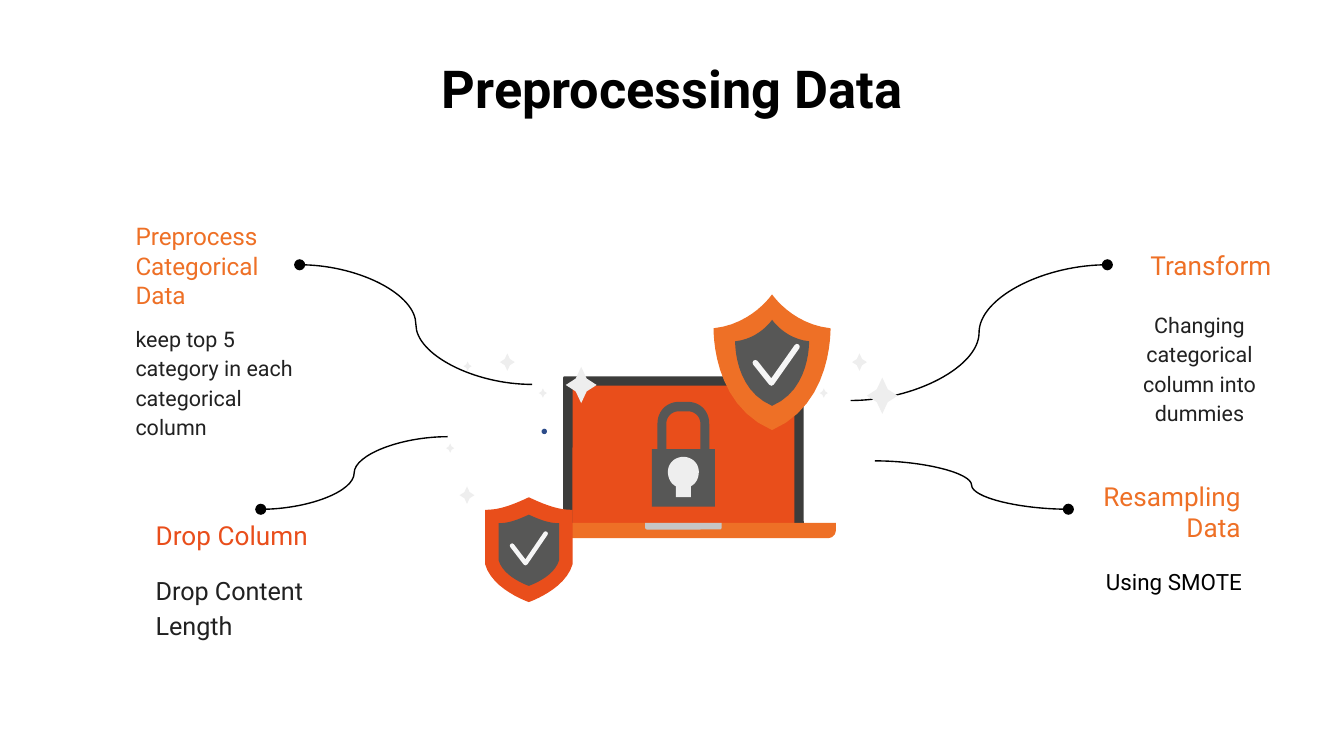
from pptx import Presentation
from pptx import util as u
from pptx.dml.color import RGBColor
from pptx.enum import shapes as sh, text as tx
from pptx.oxml.ns import qn
from lxml import etree

BLACK = RGBColor(0, 0, 0)
INK = RGBColor(0x21, 0x21, 0x21)
ORANGE = RGBColor(0xEE, 0x70, 0x26)
RED = RGBColor(0xE9, 0x4E, 0x1B)
DARK = RGBColor(0x3C, 0x3C, 0x3B)
GREY = RGBColor(0x57, 0x57, 0x56)
SILVER = RGBColor(0xC6, 0xC6, 0xC6)
PALE = RGBColor(0xEE, 0xEE, 0xEE)
WHITE = RGBColor(0xF6, 0xF6, 0xF6)
BLUE = RGBColor(0x2D, 0x4C, 0x8A)

COLS, ROWS = 100, 56.25  # square grid cells, a tenth of an inch each
FONT = "Roboto"
LEFT, MID, RIGHT = tx.PP_ALIGN.LEFT, tx.PP_ALIGN.CENTER, tx.PP_ALIGN.RIGHT
KIND = sh.MSO_SHAPE

# Left halves of outlines, in shares of their box: 1 point = line, 3 = curve.
PEAK = [(.5, 0), (.5, 0, .33, .22, 0, .25), (0, .25, -.02, .81, .5, 1)]
CREST = [(.5, 0), (.25, .1, .12, .12, 0, .12), (0, .64),
         (.08, .88, .5, 1, .5, 1)]
LOCK = [(.5, 0), (.43, 0), (.23, 0, .09, .09, .09, .21), (.09, .45),
        (0, .45), (0, 1), (.5, 1)]
HOLE = [(.5, .09), (.43, .09), (.32, .09, .23, .14, .23, .21), (.23, .45),
        (.5, .45)]
KEY = [(.5, 0), (.22, 0, 0, .16, 0, .37), (0, .53, .1, .67, .26, .73),
       (.26, 1), (.5, 1)]

# Box, words, size, colour, alignment, paragraph format, room kept below
BODY = {"line_spacing": 1.15, "space_before": u.Pt(6)}
TEXTS = [
    ((79.5, 35.7, 13.8, 4.7), "Resampling Data", 14, ORANGE, RIGHT, {}, 0),
    ((78.6, 40.4, 14.8, 5.8), "Using SMOTE", 12, BLACK, RIGHT, {}, 0),
    ((10.6, 37.5, 13.8, 4.7), "Drop Column", 14, RED, LEFT, {}, 0),
    ((10.6, 42.8, 13.8, 5.8), "Drop Content Length", 13.5, INK, LEFT, BODY, 1.3),
    ((9.1, 17.4, 13.8, 4.7), "Preprocess Categorical Data", 13, ORANGE, LEFT, {}, 0),
    ((9.1, 25.9, 13.8, 5.8), "keep top 5 category in each categorical column",
     11.5, INK, LEFT, BODY, .9),
    ((81.8, 17.4, 13.8, 4.7), "Transform", 14, ORANGE, RIGHT, {}, 0),
    ((82.3, 25.2, 13.9, 5.8), "Changing categorical column into dummies",
     11.5, INK, MID, BODY, 1.6),
]
LINKS = [(22.3, 19.7, 39.6, 28.6), (19.4, 37.9, 33.3, 32.5),
         (82.4, 19.7, 63.3, 29.8), (79.5, 37.9, 65.1, 34.3)]
SMALL, MEDIUM, LARGE = (.6, .7), (1.1, 1.3), (2.3, 2.7)
BACK = [(34.2, 36.2, MEDIUM), (33.2, 33, SMALL), (34.5, 26.9, SMALL)]
FRONT = [(61, 28.9, SMALL), (63.4, 26.3, MEDIUM), (64.5, 28.1, LARGE),
         (40.1, 28.9, SMALL), (37.2, 26.3, MEDIUM), (42.1, 27.3, LARGE)]


def grid(*cells):
    return [u.Inches(c / 10) for c in cells]


def style(item, **vals):
    for name, val in vals.items():
        setattr(item, name, val)


def write(frame, words, align, form, **font):
    frame.text = words
    par = frame.paragraphs[0]
    style(par, alignment=align, **form)
    run = par.runs[0]
    run.font.color.rgb = font.pop("color")
    style(run.font, name=FONT, **font)


def inset(frame, low=0):
    edge, base = grid(1, 1 + low)
    style(frame, word_wrap=True, auto_size=tx.MSO_AUTO_SIZE.NONE,
          margin_left=edge, margin_right=edge, margin_top=edge,
          margin_bottom=base)


def title(slide, words):
    head = slide.shapes.title
    style(head, **dict(zip(("left", "top", "width", "height"),
                           grid(5, 3.2, 90, 6.3))))
    inset(head.text_frame)
    head.text_frame.vertical_anchor = tx.MSO_ANCHOR.TOP
    write(head.text_frame, words, MID, {}, size=u.Pt(28), bold=True, color=BLACK)


def label(slide, box, words, size, color, align, form, low):
    frame = slide.shapes.add_textbox(*grid(*box)).text_frame
    inset(frame, low)
    frame.vertical_anchor = tx.MSO_ANCHOR.MIDDLE
    write(frame, words, align, form, size=u.Pt(size), color=color)


def link(slide, ends):
    """Curved line with a dot at its start."""
    wire = slide.shapes.add_connector(sh.MSO_CONNECTOR.CURVE, *grid(*ends))
    wire.line.color.rgb = BLACK
    wire.line.width = u.Pt(.75)
    etree.SubElement(wire.line._get_or_add_ln(), qn("a:headEnd"), type="oval")
    etree.SubElement(wire._element.spPr, qn("a:effectLst"))


def paint(shape, color):
    shape.shadow.inherit = False
    shape.fill.solid()
    shape.fill.fore_color.rgb = color
    shape.line.fill.background()


def block(slide, kind, box, color, *bends):
    shape = slide.shapes.add_shape(kind, *grid(*box))
    for i, bend in enumerate(bends):
        shape.adjustments[i] = bend
    paint(shape, color)


def stars(slide, spots):
    for x, y, size in spots:
        block(slide, KIND.STAR_4_POINT, (x, y, *size), PALE, .25)


def trace(half, steps=12):
    """Points of a half outline and its mirror image, curves sampled."""
    pts = [half[0]]
    for seg in half[1:]:
        if len(seg) == 2:
            pts.append(seg)
            continue
        ctrl = [pts[-1], seg[:2], seg[2:4], seg[4:]]
        for i in range(1, steps + 1):
            t = i / steps
            mix = ((1 - t) ** 3, 3 * t * (1 - t) ** 2, 3 * t * t * (1 - t), t ** 3)
            pts.append(tuple(sum(m * c[k] for m, c in zip(mix, ctrl))
                             for k in (0, 1)))
    return pts + [(1 - x, y) for x, y in reversed(pts[:-1])]


def form(slide, box, color, *halves):
    """Symmetric filled outline; further halves cut holes."""
    x, y, w, h = box
    loops = [[grid(x + w * a, y + h * b) for a, b in trace(half)]
             for half in halves]
    pen = slide.shapes.build_freeform(*loops[0][0])
    for i, loop in enumerate(loops):
        if i:
            pen.move_to(*loop[0])
        pen.add_line_segments(loop[1:], close=True)
    paint(pen.convert_to_shape(), color)


def tick(slide, pts, width):
    dots = [grid(*p) for p in pts]
    pen = slide.shapes.build_freeform(*dots[0])
    pen.add_line_segments(dots[1:], close=False)
    mark = pen.convert_to_shape()
    mark.shadow.inherit = False
    mark.fill.background()
    mark.line.color.rgb = WHITE
    mark.line.width = u.Pt(width)
    ln = mark.line._get_or_add_ln()
    ln.set("cap", "rnd")
    etree.SubElement(ln, qn("a:round"))


def laptop(slide):
    block(slide, KIND.OVAL, (40.3, 31.9, .4, .4), BLUE)
    block(slide, KIND.ROUNDED_RECTANGLE, (41.9, 28, 17.9, 12), DARK, .01)
    block(slide, KIND.ROUNDED_RECTANGLE, (42.6, 28.7, 16.5, 10.6), RED, .01)
    foot = KIND.ROUND_2_SAME_RECTANGLE
    block(slide, foot, (39.5, 38.9, 22.7, 1.15), ORANGE, 0, .5)
    block(slide, foot, (48, 38.9, 5.7, .5), SILVER, 0, .3)
    form(slide, (48.5, 29.9, 4.7, 7.8), GREY, LOCK, HOLE)
    form(slide, (49.7, 34, 2.3, 3), PALE, KEY)


def shields(slide):
    form(slide, (53.1, 21.9, 8.7, 10.1), ORANGE, PEAK)
    form(slide, (54.7, 23.8, 5.5, 6.4), GREY, PEAK)
    tick(slide, [(56.2, 27), (57.4, 28.5), (59.3, 25.8)], 3)
    form(slide, (36.1, 37, 6.5, 7.8), RED, CREST)
    form(slide, (37.1, 38.3, 4.5, 5.3), GREY, CREST)
    tick(slide, [(38.1, 40.6), (39.1, 41.9), (40.6, 39.7)], 2.4)


def main():
    deck = Presentation()
    deck.slide_width, deck.slide_height = grid(COLS, ROWS)
    slide = deck.slides.add_slide(deck.slide_layouts.get_by_name("Title Only"))
    title(slide, "Preprocessing Data")
    for item in TEXTS:
        label(slide, *item)
    stars(slide, BACK)
    for ends in LINKS:
        link(slide, ends)
    laptop(slide)
    stars(slide, FRONT)
    shields(slide)
    deck.save("out.pptx")


if __name__ == "__main__":
    main()
